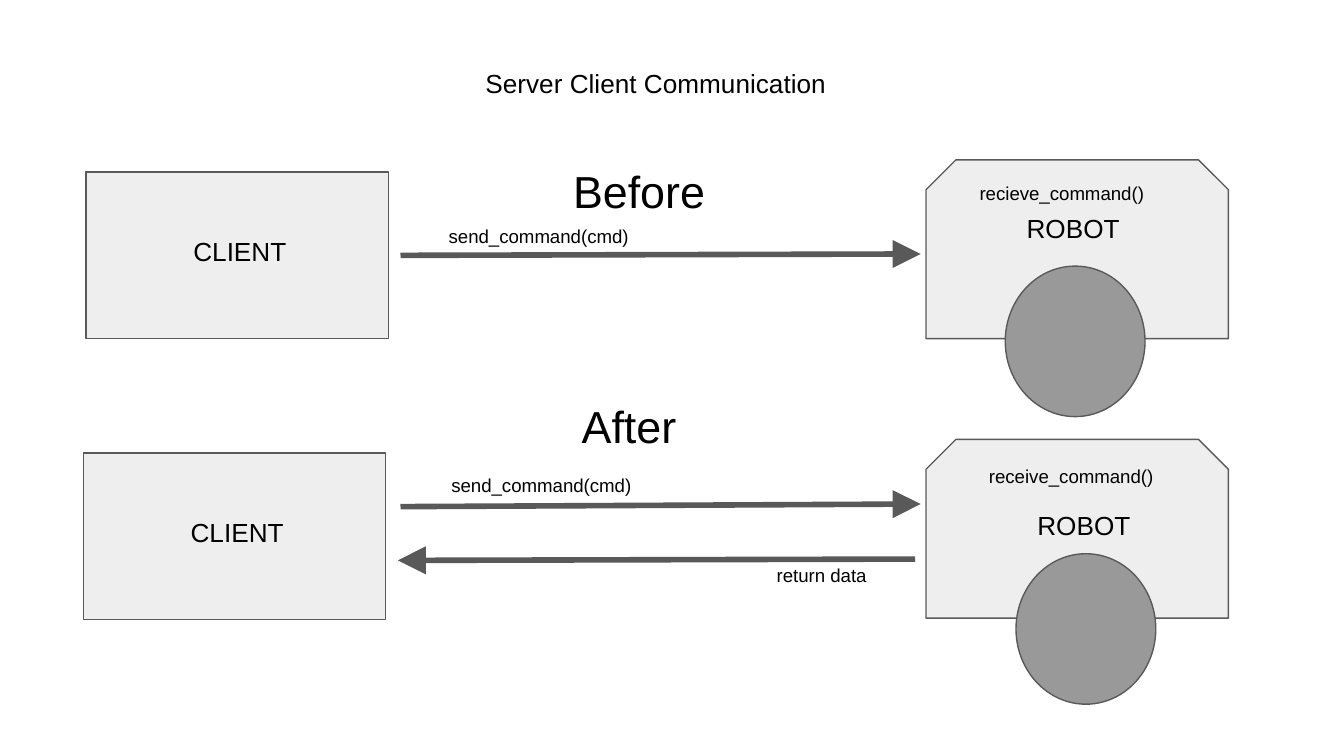
from dataclasses import dataclass

from lxml import etree
from pptx import Presentation
from pptx.dml.color import RGBColor
from pptx.enum.shapes import MSO_CONNECTOR, MSO_SHAPE
from pptx.enum.text import MSO_ANCHOR, MSO_AUTO_SIZE, PP_ALIGN
from pptx.oxml.ns import qn
from pptx.util import Inches, Pt

RECT, SNIPPED, ELLIPSE = (
    MSO_SHAPE.RECTANGLE, MSO_SHAPE.SNIP_2_SAME_RECTANGLE, MSO_SHAPE.OVAL)
STRAIGHT = MSO_CONNECTOR.STRAIGHT
LEFT, CENTER = PP_ALIGN.LEFT, PP_ALIGN.CENTER
TOP, MIDDLE = MSO_ANCHOR.TOP, MSO_ANCHOR.MIDDLE
NO_AUTOFIT = MSO_AUTO_SIZE.NONE

BLACK = RGBColor(0x00, 0x00, 0x00)
OUTLINE = RGBColor(0x59, 0x59, 0x59)
BODY_FILL = RGBColor(0xEE, 0xEE, 0xEE)
WHEEL_FILL = RGBColor(0x99, 0x99, 0x99)

FONT = "Arial"
HEADING, NAME, CALL = 24, 14, 10  # text sizes in points

WIDTH = Inches(10)
HEIGHT = WIDTH * 9 // 16
CELL = WIDTH / 100  # square grid cell; all positions below count cells

CLIENT_SIZE = (22.5, 12.4)
ROBOT_SIZE = (22.5, 13.3)
WHEEL_SIZE = (10.4, 11.2)
NAME_SIZE = (10.4, 5)


@dataclass
class Label:
    text: str
    at: tuple[float, float]
    size: tuple[float, float]
    points: int = CALL
    align: PP_ALIGN = LEFT
    anchor: MSO_ANCHOR = TOP


@dataclass
class Arrow:
    start: tuple[float, float]
    end: tuple[float, float]


@dataclass
class Scene:
    client: tuple[float, float]
    robot: tuple[float, float]
    wheel: tuple[float, float]
    arrows: list[Arrow]
    labels: list[Label]


TITLE = Label("Server Client Communication", (24.9, 4), (47.8, 4.4), NAME, CENTER)

SCENES = [
    Scene(
        client=(6.4, 12.8), robot=(68.9, 11.9), wheel=(74.8, 19.8),
        arrows=[Arrow((29.8, 19), (68.5, 18.9))],
        labels=[
            Label("Before", (25.1, 11.2), (44.9, 5.2), HEADING, CENTER),
            Label("CLIENT", (13.4, 16.5), NAME_SIZE, NAME),
            Label("ROBOT", (75.4, 14.8), NAME_SIZE, NAME),
            Label("send_command(cmd)", (32.4, 15.7), (18.3, 4.4)),
            Label("recieve_command()", (71.9, 11.9), (17.3, 5), anchor=MIDDLE),
        ],
    ),
    Scene(
        client=(6.2, 33.7), robot=(68.9, 32.7), wheel=(75.6, 41.2),
        arrows=[Arrow((29.8, 37.7), (68.5, 37.5)),
                Arrow((68.1, 41.6), (29.6, 41.7))],
        labels=[
            Label("After", (40.7, 27.5), (12.2, 8.3), HEADING, CENTER, MIDDLE),
            Label("CLIENT", (13.2, 37.4), NAME_SIZE, NAME),
            Label("ROBOT", (76.2, 36.9), NAME_SIZE, NAME),
            Label("send_command(cmd)", (32.6, 33.6), (17.3, 5), anchor=MIDDLE),
            Label("receive_command()", (72.6, 33.6), (17.3, 3.9)),
            Label("return data", (56.8, 40.3), (17.3, 5), anchor=MIDDLE),
        ],
    ),
]


def cells(*counts: float) -> list[int]:
    """Turn counts of grid cells into lengths."""
    return [round(n * CELL) for n in counts]


def add_block(s, kind: MSO_SHAPE, at: tuple[float, float],
              size: tuple[float, float], fill: RGBColor) -> None:
    sp = s.shapes.add_shape(kind, *cells(*at, *size))
    sp.shadow.inherit = False
    sp.fill.solid()
    sp.fill.fore_color.rgb = fill
    sp.line.color.rgb = OUTLINE
    sp.line.width = Pt(0.75)


def add_arrow(s, arrow: Arrow) -> None:
    sp = s.shapes.add_connector(STRAIGHT, *cells(*arrow.start, *arrow.end))
    sp.line.color.rgb = OUTLINE
    sp.line.width = Pt(3)
    outline = sp._element.spPr.find(qn("a:ln"))
    etree.SubElement(outline, qn("a:tailEnd"), type="triangle", w="lg", len="lg")
    etree.SubElement(sp._element.spPr, qn("a:effectLst"))


def write_label(sp, label: Label) -> None:
    """Place a text box or placeholder and fill it with the label."""
    sp.left, sp.top, sp.width, sp.height = cells(*label.at, *label.size)
    tf = sp.text_frame
    tf.word_wrap = True
    tf.auto_size = NO_AUTOFIT
    tf.vertical_anchor = label.anchor
    tf.margin_left = tf.margin_right = Inches(0.1)
    tf.margin_top = tf.margin_bottom = Inches(0.1)
    p = tf.paragraphs[0]
    p.text = label.text
    p.alignment = label.align
    p.font.name = FONT
    p.font.size = Pt(label.points)
    p.font.color.rgb = BLACK


def draw_scene(s, scene: Scene) -> None:
    add_block(s, RECT, scene.client, CLIENT_SIZE, BODY_FILL)
    add_block(s, SNIPPED, scene.robot, ROBOT_SIZE, BODY_FILL)
    add_block(s, ELLIPSE, scene.wheel, WHEEL_SIZE, WHEEL_FILL)
    for arrow in scene.arrows:
        add_arrow(s, arrow)
    for label in scene.labels:
        write_label(s.shapes.add_textbox(0, 0, 0, 0), label)


def main() -> None:
    prs = Presentation()
    prs.slide_width, prs.slide_height = WIDTH, HEIGHT
    s = prs.slides.add_slide(prs.slide_layouts.get_by_name("Title Only"))
    write_label(s.shapes.title, TITLE)
    for scene in SCENES:
        draw_scene(s, scene)
    prs.save("out.pptx")


if __name__ == "__main__":
    main()
